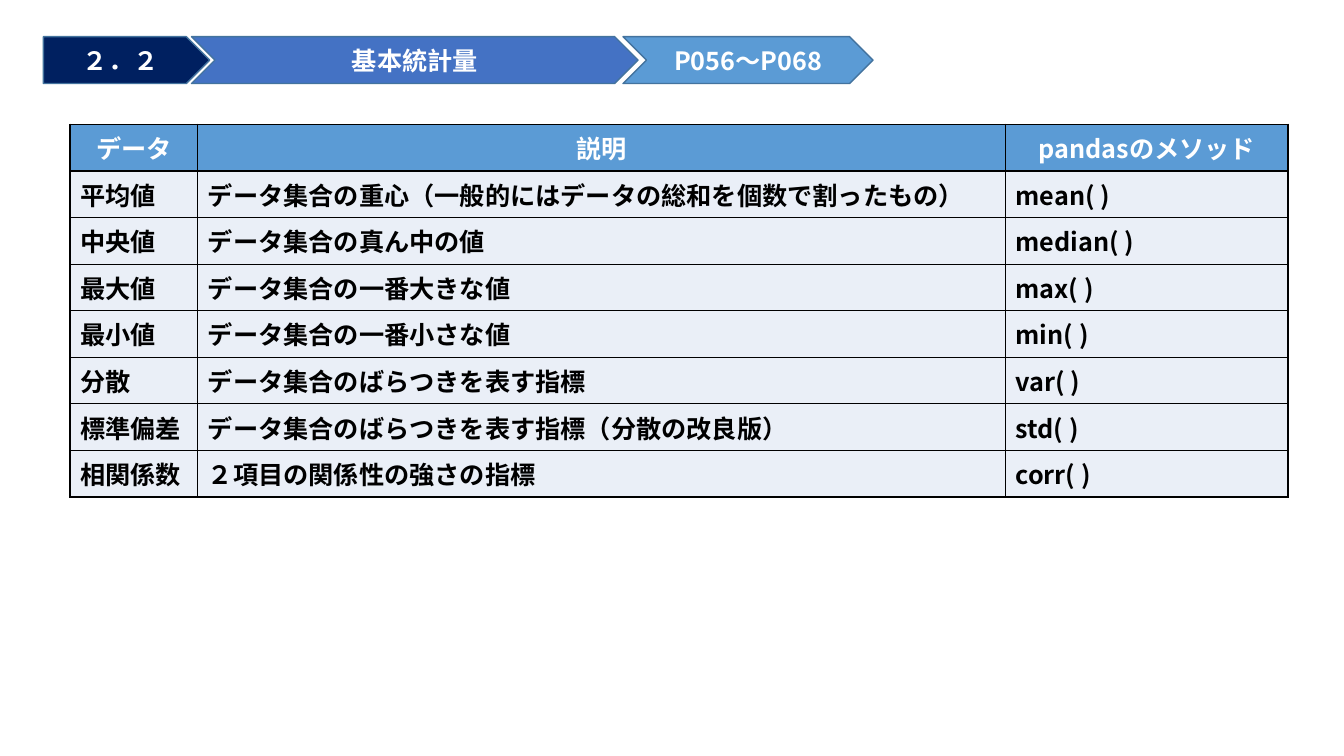
import pptx
import pptx.util
import pptx.dml.color
import pptx.enum.shapes
import pptx.enum.text
import pptx.oxml.ns
from dataclasses import dataclass
from lxml import etree

Pt = pptx.util.Pt
qn = pptx.oxml.ns.qn
SHAPE = pptx.enum.shapes.MSO_SHAPE
ALIGN = pptx.enum.text.PP_ALIGN
MIDDLE = pptx.enum.text.MSO_ANCHOR.MIDDLE


@dataclass(frozen=True)
class Theme:
    font: str = "Noto Sans CJK JP"
    size: int = 18
    navy: str = "002060"
    blue: str = "4472C4"
    sky: str = "5B9BD5"
    outline: str = "43739E"
    pale: str = "EAEFF7"
    white: str = "FFFFFF"
    black: str = "000000"


THEME = Theme()

HEADINGS = ("データ", "説明", "pandasのメソッド")
STATISTICS = (
    ("平均値", "データ集合の重心（一般的にはデータの総和を個数で割ったもの）", "mean( )"),
    ("中央値", "データ集合の真ん中の値", "median( )"),
    ("最大値", "データ集合の一番大きな値", "max( )"),
    ("最小値", "データ集合の一番小さな値", "min( )"),
    ("分散", "データ集合のばらつきを表す指標", "var( )"),
    ("標準偏差", "データ集合のばらつきを表す指標（分散の改良版）", "std( )"),
    ("相関係数", "２項目の関係性の強さの指標", "corr( )"),
)


def rgb(color):
    return pptx.dml.color.RGBColor.from_string(color)


def write(frame, text, color, align):
    paragraph = frame.paragraphs[0]
    paragraph.alignment = align
    paragraph.line_spacing = 1.0
    run = paragraph.add_run()
    run.text = text
    run.font.name = THEME.font
    run.font.size = Pt(THEME.size)
    run.font.bold = True
    run.font.color.rgb = rgb(color)
    # East Asian typeface
    etree.SubElement(run.font._element, qn("a:ea"), typeface=THEME.font)


def center(frame, text):
    frame.word_wrap = True
    frame.auto_size = pptx.enum.text.MSO_AUTO_SIZE.NONE
    frame.vertical_anchor = MIDDLE
    write(frame, text, THEME.white, ALIGN.CENTER)


def add_arrow(slide, kind, left, top, width, height, fill):
    arrow = slide.shapes.add_shape(kind, Pt(left), Pt(top), Pt(width), Pt(height))
    arrow.shadow.inherit = False
    arrow.fill.solid()
    arrow.fill.fore_color.rgb = rgb(fill)
    arrow.line.color.rgb = rgb(THEME.outline)
    arrow.line.width = Pt(1)
    return arrow


def add_section_header(slide, left, top, height):
    # Section number, topic and page range, each nested in the one before
    number = add_arrow(slide, SHAPE.PENTAGON, left, top, 118.8, height, THEME.navy)
    center(number.text_frame, "２．２")

    topic_left, topic_width = left + 105.8, 319
    add_arrow(slide, SHAPE.CHEVRON, topic_left, top, topic_width, height, THEME.blue)

    pages = add_arrow(slide, SHAPE.CHEVRON, left + 414, top, 178.6, height, THEME.sky)
    center(pages.text_frame, "P056～P068")

    # The topic is the slide title, laid over its chevron
    title = slide.shapes.title
    title.left, title.top = Pt(topic_left), Pt(top)
    title.width, title.height = Pt(topic_width), Pt(height)
    center(title.text_frame, "基本統計量")
    slide.shapes._spTree.append(title._element)


def fill_cell(cell, color):
    properties = cell._tc.get_or_add_tcPr()
    for side in ("lnL", "lnR", "lnT", "lnB"):
        border = etree.SubElement(properties, qn(f"a:{side}"), w=str(Pt(1)))
        solid = etree.SubElement(border, qn("a:solidFill"))
        etree.SubElement(solid, qn("a:srgbClr"), val=THEME.black)
    cell.fill.solid()
    cell.fill.fore_color.rgb = rgb(color)


def add_statistics_table(slide, left, top, width, height):
    records = (HEADINGS, *STATISTICS)
    table = slide.shapes.add_table(
        len(records), len(HEADINGS), Pt(left), Pt(top), Pt(width), Pt(height)).table
    # Names and methods are fixed; the description takes the rest
    name_width, method_width = 91.3, 201.7
    widths = (name_width, width - name_width - method_width, method_width)
    for column, column_width in zip(table.columns, widths):
        column.width = Pt(column_width)

    for row, record in enumerate(records):
        table.rows[row].height = Pt(height / len(records))
        if row == 0:
            fill, ink, align = THEME.sky, THEME.white, ALIGN.CENTER
        else:
            fill, ink, align = THEME.pale, THEME.black, ALIGN.LEFT
        for column, text in enumerate(record):
            cell = table.cell(row, column)
            fill_cell(cell, fill)
            write(cell.text_frame, text, ink, align)


deck = pptx.Presentation()
deck.slide_width, deck.slide_height = Pt(960), Pt(540)
TITLE_ONLY = 5
lesson = deck.slides.add_slide(deck.slide_layouts[TITLE_ONLY])
add_section_header(lesson, 31, 26.2, 33.5)
add_statistics_table(lesson, 50, 88.8, 870, 233.6)
deck.save("out.pptx")
